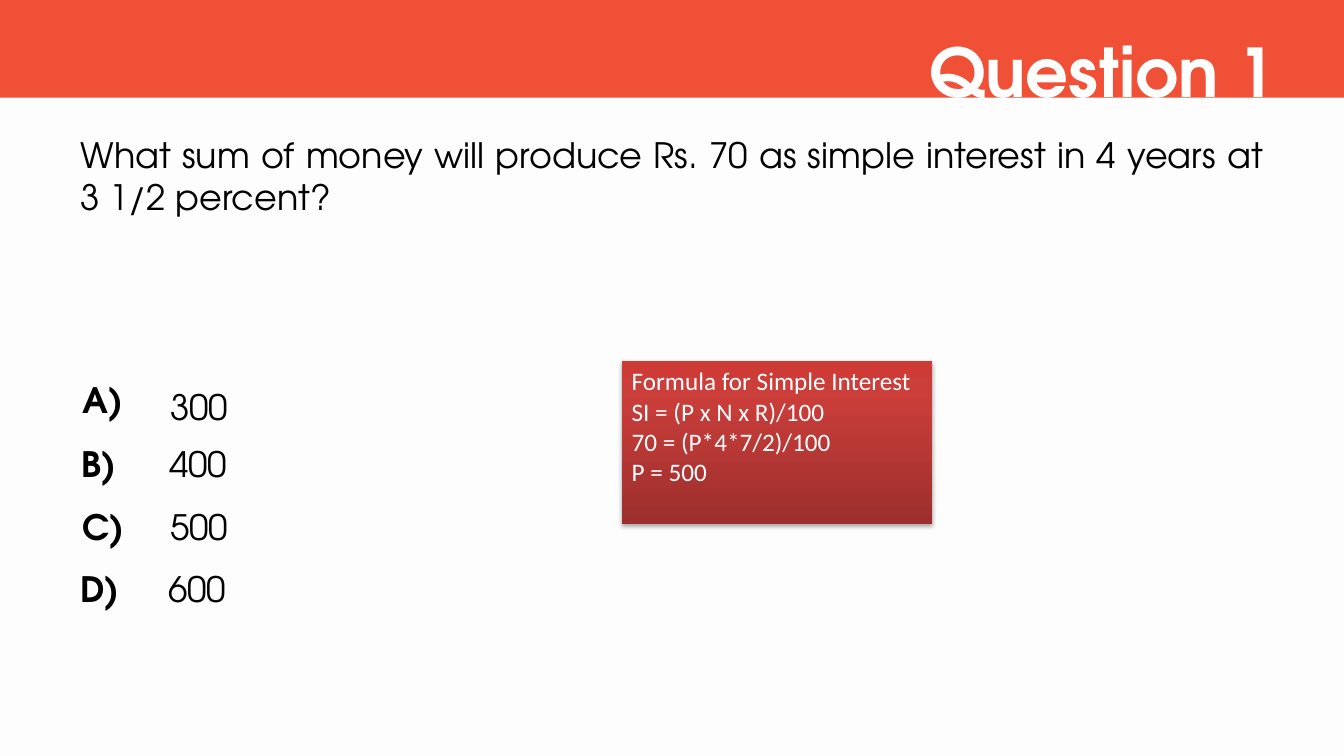
from dataclasses import dataclass

from lxml import etree
from pptx import Presentation
from pptx.dml.color import RGBColor
from pptx.enum.shapes import MSO_SHAPE
from pptx.enum.text import MSO_ANCHOR, MSO_AUTO_SIZE, PP_ALIGN
from pptx.oxml import parse_xml
from pptx.oxml.ns import nsdecls, qn
from pptx.util import Cm, Pt

RECT = MSO_SHAPE.RECTANGLE
TOP = MSO_ANCHOR.TOP
GROW = MSO_AUTO_SIZE.SHAPE_TO_FIT_TEXT
LEFT, RIGHT, JUSTIFY = PP_ALIGN.LEFT, PP_ALIGN.RIGHT, PP_ALIGN.JUSTIFY


@dataclass(frozen=True)
class Theme:
    font: str = "TeX Gyre Adventor"
    note_font: str = "Calibri"
    title_size: int = 48
    body_size: int = 25
    note_size: int = 18
    background: str = "FDFDFD"
    band: str = "F05136"
    ink: str = "000000"
    light: str = "FFFFFF"
    note_stops: tuple = ((0, "9C2F2D"), (80, "CB3E3A"), (100, "CE3B37"))


class QuizSlide:
    def __init__(self, prs, theme):
        self.theme = theme
        self.s = prs.slides.add_slide(prs.slide_layouts[5])
        fill = self.s.background.fill
        fill.solid()
        fill.fore_color.rgb = RGBColor.from_string(theme.background)

    def set_text(self, sp, text, size, color, font=None, bold=False,
                 align=LEFT, spacing=1.0):
        tf = sp.text_frame
        tf.text = text
        tf.word_wrap = True
        tf.auto_size = GROW
        tf.vertical_anchor = TOP
        for p in tf.paragraphs:
            p.alignment = align
            p.line_spacing = spacing
            for r in p.runs:
                r.font.name = font or self.theme.font
                r.font.size = Pt(size)
                r.font.bold = bold
                r.font.color.rgb = RGBColor.from_string(color)

    def rect(self, x, y, w, h):
        sp = self.s.shapes.add_shape(RECT, Cm(x), Cm(y), Cm(w), Cm(h))
        sp.line.fill.background()
        sp.shadow.inherit = False
        return sp

    def band(self, x, y, w, h):
        sp = self.rect(x, y, w, h)
        sp.fill.solid()
        sp.fill.fore_color.rgb = RGBColor.from_string(self.theme.band)

    def title(self, text, x, y, w, h):
        """Fill the title placeholder and bring it in front of the band."""
        sp = self.s.shapes.title
        sp.left, sp.top, sp.width, sp.height = Cm(x), Cm(y), Cm(w), Cm(h)
        self.set_text(sp, text, self.theme.title_size, self.theme.light,
                      bold=True, align=RIGHT)
        sp.element.getparent().append(sp.element)

    def text(self, text, x, y, w, h, **style):
        sp = self.s.shapes.add_textbox(Cm(x), Cm(y), Cm(w), Cm(h))
        self.set_text(sp, text, self.theme.body_size, self.theme.ink, **style)

    def note(self, text, x, y, w, h):
        """Add a box with a vertical gradient and a soft shadow."""
        sp = self.rect(x, y, w, h)
        sp.fill.gradient()
        props = sp.element.spPr
        grad = props.find(qn("a:gradFill"))
        for child in list(grad):
            grad.remove(child)
        stops = etree.SubElement(grad, qn("a:gsLst"))
        for percent, color in self.theme.note_stops:
            stop = etree.SubElement(stops, qn("a:gs"), pos=str(percent * 1000))
            etree.SubElement(stop, qn("a:srgbClr"), val=color)
        etree.SubElement(grad, qn("a:lin"), ang="16200000", scaled="0")
        props.find(qn("a:effectLst")).append(parse_xml(
            f'<a:outerShdw {nsdecls("a")} blurRad="40000" dist="23000" '
            'dir="5400000" rotWithShape="0"><a:srgbClr val="000000">'
            '<a:alpha val="35000"/></a:srgbClr></a:outerShdw>'))
        self.set_text(sp, text, self.theme.note_size, self.theme.light,
                      font=self.theme.note_font)


# letter, value, left of the letter, top of the letter, top of the value
OPTIONS = (
    ("A)", "300", 1.83, 8.89, 9.07),
    ("B)", "400", 1.80, 10.49, 10.49),
    ("C)", "500", 1.83, 12.09, 12.09),
    ("D)", "600", 1.78, 13.64, 13.64),
)
VALUE_OFFSET = 2.21
OPTION_HEIGHT = 1.73


def main():
    prs = Presentation()
    prs.slide_width, prs.slide_height = Cm(33.87), Cm(19.05)
    quiz = QuizSlide(prs, Theme())

    quiz.text("What sum of money will produce Rs. 70 as simple interest "
              "in 4 years at 3 1/2 percent?",
              1.78, 3.23, 30.3, 2.39, align=JUSTIFY)
    for letter, value, x, letter_y, value_y in OPTIONS:
        quiz.text(letter, x, letter_y, 1.93, OPTION_HEIGHT,
                  bold=True, spacing=1.5)
        quiz.text(value, x + VALUE_OFFSET, value_y, 28.04, OPTION_HEIGHT,
                  spacing=1.5)

    quiz.band(0, 0, 33.87, 2.46)
    quiz.title("Question 1", 10.8, 0.64, 21.59, 2.31)
    quiz.note("Formula for Simple Interest SI = (P x N x R)/100\v"
              "70 = (P*4*7/2)/100\vP = 500",
              15.67, 9.09, 7.82, 4.11)
    prs.save("out.pptx")


if __name__ == "__main__":
    main()
